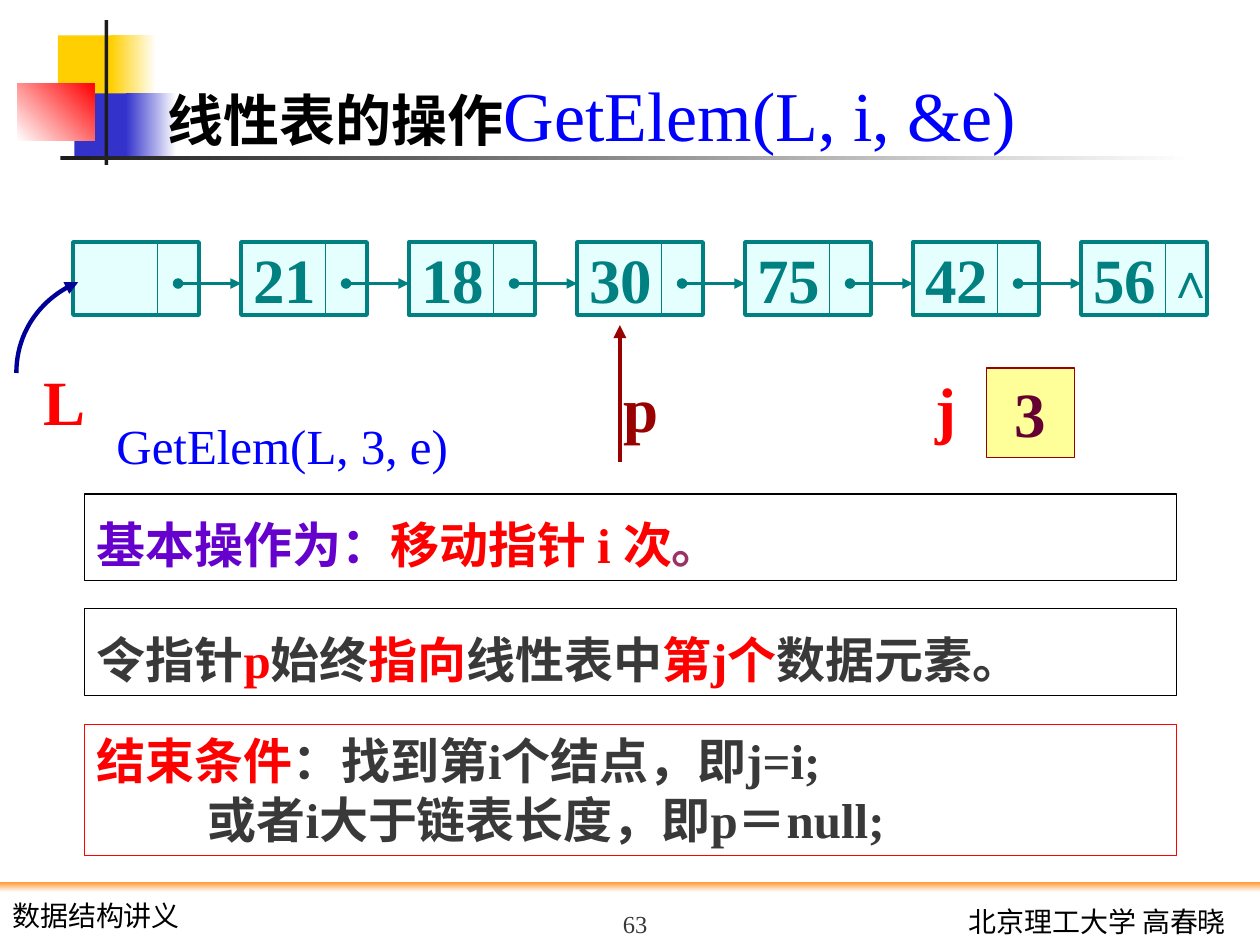
"""Slide on the GetElem operation of a linked list."""
from lxml.etree import SubElement
from pptx import Presentation
from pptx.dml.color import RGBColor
from pptx.enum.shapes import MSO_CONNECTOR, MSO_SHAPE
from pptx.enum.text import MSO_ANCHOR, PP_ALIGN
from pptx.oxml.ns import qn
from pptx.util import Inches, Pt

rgb = RGBColor.from_string
SERIF = "Times New Roman"
TEAL, RED, BLUE, DARK, MAROON = "008080", "FF0000", "0000FF", "393939", "990000"
LEFT, CENTER, RIGHT = PP_ALIGN.LEFT, PP_ALIGN.CENTER, PP_ALIGN.RIGHT
TOP, MIDDLE, BOTTOM = MSO_ANCHOR.TOP, MSO_ANCHOR.MIDDLE, MSO_ANCHOR.BOTTOM

prs = Presentation()
prs.slide_width, prs.slide_height = Inches(10), Inches(7.5)
slide = prs.slides.add_slide(prs.slide_layouts[6])
shapes = slide.shapes


def box(at, fill=None, line=None, width=0.75):
    s = shapes.add_shape(MSO_SHAPE.RECTANGLE, *map(Inches, at))
    s.shadow.inherit = False
    if fill:
        s.fill.solid()
        s.fill.fore_color.rgb = rgb(fill)
    else:
        s.fill.background()
    if line:
        s.line.color.rgb = rgb(line)
        s.line.width = Pt(width)
    else:
        s.line.fill.background()
    return s


def write(s, paragraphs, size, bold=False, align=LEFT, anchor=TOP, wrap=True,
          font=SERIF, spacing=None):
    tf = s.text_frame
    tf.word_wrap, tf.vertical_anchor = wrap, anchor
    for i, runs in enumerate(paragraphs):
        p = tf.add_paragraph() if i else tf.paragraphs[0]
        p.alignment, p.line_spacing = align, spacing
        p.font.name, p.font.size, p.font.bold = font, Pt(size), bold
        for words, color in runs:
            r = p.add_run()
            r.text = words
            r.font.color.rgb = rgb(color)
    return tf


blocks = [
    ((0.46, 0.28, 0.48, 0.52), "FFCF01", None, 0),
    ((0.88, 0.28, 0.36, 0.52), "FFCF01", "FFFFFF", 0),
    ((0.59, 0.74, 0.46, 0.52), "3333CC", None, 0),
    ((1, 0.74, 0.4, 0.52), "3333CC", "FFFFFF", 0),
    ((0.14, 0.66, 0.61, 0.46), "FFFFFF", RED, 45),
    ((0.83, 0.16, 0.03, 1.15), "1C1C1C", None, 0),
    ((0.48, 1.24, 9, 0.03), "1C1C1C", "FFFFFF", 0),
    ((0, 7, 10, 0.08), "FF9933", "FFFFFF", 270),
]
for at, start, end, angle in blocks:
    s = box(at, start)
    if end:
        s.fill.gradient()
        s.fill.gradient_angle = angle
        for stop, color, position in zip(s.fill.gradient_stops, (start, end), (0, 1)):
            stop.color.rgb, stop.position = rgb(color), position

lines = []
for i, value in enumerate(["", "21", "18", "30", "75", "42", "56"]):
    x = 0.58 + i * 4 / 3
    s = box((x, 1.92, 1, 0.58), "CCFFFF", TEAL, 2)
    color = s.fill._xPr.find(".//" + qn("a:srgbClr"))
    SubElement(color, qn("a:alpha"), val="50000")
    if value:
        write(s, [[(value, TEAL)]], 36, True, anchor=MIDDLE)
        lines.append((x - 0.5, 2.25, x, 2.25, TEAL, 2, "oval", "triangle"))
    lines.append((x + 0.67, 1.92, x + 0.67, 2.5, TEAL, 0.75, None, None))
lines.append((4.92, 2.58, 4.92, 3.67, MAROON, 2.5, "triangle", None))

arrows = []
for x1, y1, x2, y2, color, width, head, tail in lines:
    s = shapes.add_connector(MSO_CONNECTOR.STRAIGHT, *map(Inches, (x1, y1, x2, y2)))
    s.line.color.rgb = rgb(color)
    s.line.width = Pt(width)
    SubElement(s._element.spPr, qn("a:effectLst"))
    arrows.append((s, head, tail))

curve = [(0.62, 2.24), (0.35, 2.35), (0.13, 2.61), (0.13, 2.96)]
points = []
for step in range(25):
    t = step / 24
    weights = (1 - t) ** 3, 3 * t * (1 - t) ** 2, 3 * t * t * (1 - t), t ** 3
    points.append([Inches(sum(w * c for w, c in zip(weights, axis)))
                   for axis in zip(*curve)])
builder = shapes.build_freeform(*points[0])
builder.add_line_segments(points[1:], close=False)
s = builder.convert_to_shape()
s.shadow.inherit = False
s.fill.background()
s.line.color.rgb = rgb("000099")
s.line.width = Pt(2.5)
arrows.append((s, "triangle", None))
for s, head, tail in arrows:
    ln = s.line._get_or_add_ln()
    for tag, kind in (("a:headEnd", head), ("a:tailEnd", tail)):
        if kind:
            SubElement(ln, qn(tag), type=kind)

labels = [
    ((0.25, 2.83, 0.53, 0.7), "L", RED, 36, True, LEFT, TOP, False, SERIF),
    ((9.16, 1.93, 0.59, 0.57), "∧", TEAL, 28, True, LEFT, TOP, False, SERIF),
    ((4.85, 2.88, 0.48, 0.7), "p", MAROON, 36, True, LEFT, TOP, False, SERIF),
    ((7.33, 2.88, 0.37, 0.7), "j", RED, 36, True, LEFT, TOP, False, SERIF),
    ((0.81, 3.25, 2.86, 0.57), "GetElem(L, 3, e)", BLUE, 28, False, CENTER, TOP, False, SERIF),
    ((4, 7, 2.08, 0.5), "63", DARK, 14, False, CENTER, BOTTOM, True, SERIF),
    ((0, 7.08, 1.75, 0.37), "数据结构讲义", "000000", 16, False, LEFT, TOP, True, "Lato"),
    ((7.33, 7.13, 2.5, 0.37), "北京理工大学 高春晓", "000000", 16, False, RIGHT, TOP, True, "Lato"),
]
for at, words, color, *style in labels:
    write(shapes.add_textbox(*map(Inches, at)), [[(words, color)]], *style)

title = shapes.add_textbox(*map(Inches, (1.23, 0.03, 8.35, 1.25)))
tf = write(title, [[("线性表的操作", "000000"), ("GetElem(L, i, &e)", BLUE)]], 40, anchor=BOTTOM)
r = tf.paragraphs[0].runs[0]
r.font.size, r.font.bold = Pt(32), True

write(box((7.83, 2.92, 0.7, 0.71), "FFFF99", MAROON), [[("3", "660033")]], 36, True, CENTER)

notes = [
    (3.92, 0.69, "000000", 1.25, [
        [("基本操作为：", "6600CC"), ("移动指针 i 次", RED), ("。", "993366")]]),
    (4.83, 0.69, "000000", 1.25, [
        [("令指针", DARK), ("p", RED), ("始终", DARK), ("指向", RED),
         ("线性表中", DARK), ("第j个", RED), ("数据元素。", DARK)]]),
    (5.75, 1.04, RED, None, [
        [("结束条件", RED), ("：找到第i个结点，即j=i;", DARK)],
        [("或者i大于链表长度，即p＝null;", DARK)]]),
]
for y, height, line, spacing, paragraphs in notes:
    tf = write(box((0.67, y, 8.67, height), line=line), paragraphs, 28, True, spacing=spacing)
tf.paragraphs[1]._p.get_or_add_pPr().set("indent", str(Inches(0.88)))

prs.save("out.pptx")
